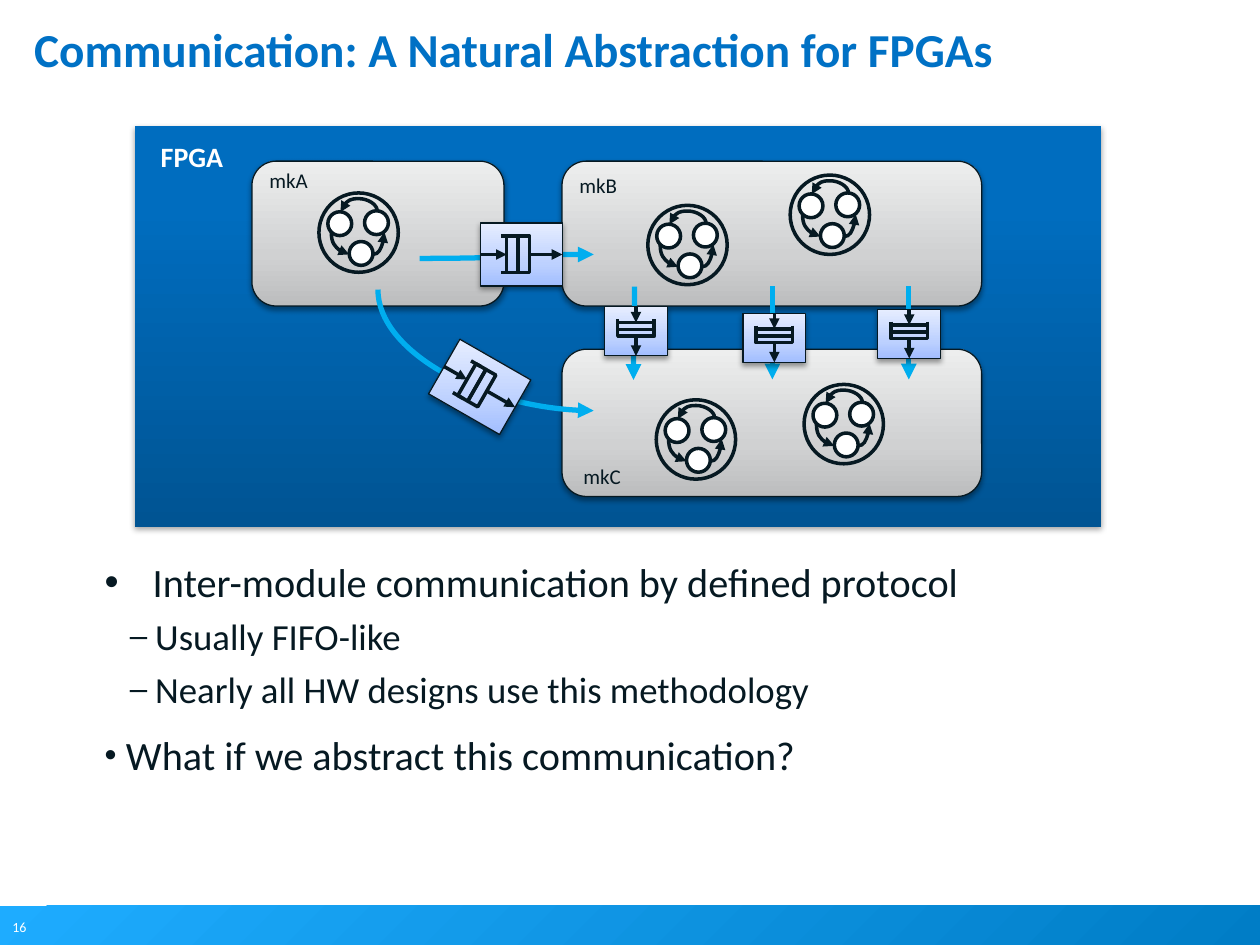
from lxml import etree
from pptx import Presentation
from pptx.dml.color import RGBColor
from pptx.enum import shapes as kinds, text as layout
from pptx.oxml.ns import qn
from pptx.util import Cm, Pt

FONT = "Calibri"
INK = RGBColor(0x06, 0x19, 0x22)
WHITE = RGBColor(0xFF, 0xFF, 0xFF)
TITLE_BLUE = RGBColor(0x00, 0x71, 0xC5)
LINK_BLUE = RGBColor(0x00, 0xAE, 0xEF)
FOOTER_STOPS = [(0, RGBColor(0x1E, 0xAC, 0xFF)), (100, RGBColor(0x00, 0x7D, 0xC6))]
FPGA_STOPS = [(0, RGBColor(0x00, 0x54, 0x93)), (80, RGBColor(0x00, 0x6D, 0xBF)),
              (100, RGBColor(0x00, 0x6E, 0xC0))]
MODULE_STOPS = [(0, RGBColor(0xBC, 0xBD, 0xBE)), (35, RGBColor(0xD0, 0xD1, 0xD2)),
                (100, RGBColor(0xED, 0xEE, 0xEE))]
FIFO_STOPS = [(0, RGBColor(0xA2, 0xBE, 0xFF)), (35, RGBColor(0xBD, 0xD1, 0xFF)),
              (100, RGBColor(0xE6, 0xED, 0xFF))]
RECTANGLE = kinds.MSO_SHAPE.RECTANGLE
OVAL = kinds.MSO_SHAPE.OVAL


def add_child(parent, tag, **attributes):
    child = etree.SubElement(parent, qn(tag))
    for name, value in attributes.items():
        child.set(name, str(value))
    return child


def set_gradient(shape, stops, angle):
    shape.fill.gradient()
    shape.fill.gradient_angle = angle
    stop_list = shape._element.spPr.find(qn("a:gradFill")).find(qn("a:gsLst"))
    for stop in list(stop_list):
        stop_list.remove(stop)
    for position, color in stops:
        stop = add_child(stop_list, "a:gs", pos=position * 1000)
        add_child(stop, "a:srgbClr", val=color)


def add_shadow(shape, opacity):
    effects = shape._element.spPr.find(qn("a:effectLst"))
    shadow = add_child(effects, "a:outerShdw", blurRad=Pt(3.1), dist=Pt(1.7),
                       dir=90 * 60000, rotWithShape=0)
    color = add_child(shadow, "a:srgbClr", val="000000")
    add_child(color, "a:alpha", val=opacity * 1000)


def add_box(parent, kind, left, top, width, height, fill=None, stops=None, angle=90,
            line=None, shadow=None):
    """Add a preset shape; lengths in cm, line width in points, shadow opacity in percent."""
    shape = parent.add_shape(kind, Cm(left), Cm(top), Cm(width), Cm(height))
    shape.shadow.inherit = False
    if stops:
        set_gradient(shape, stops, angle)
    elif fill is not None:
        shape.fill.solid()
        shape.fill.fore_color.rgb = fill
    else:
        shape.fill.background()
    if line:
        shape.line.color.rgb = INK
        shape.line.width = Pt(line)
    else:
        shape.line.fill.background()
    if shadow:
        add_shadow(shape, shadow)
    return shape


def add_link(parent, begin, end, color=INK, width=2, preset="line", arrow=None,
             rotation=0, bend=None):
    """Add a connector; arrow is "headEnd" (at begin) or "tailEnd" (at end)."""
    kind = kinds.MSO_CONNECTOR.STRAIGHT if preset == "line" else kinds.MSO_CONNECTOR.CURVE
    link = parent.add_connector(kind, *(Cm(value) for value in (*begin, *end)))
    link.line.color.rgb = color
    link.line.width = Pt(width)
    properties = link._element.spPr
    if arrow:
        add_child(properties.find(qn("a:ln")), f"a:{arrow}", type="triangle")
    add_child(properties, "a:effectLst")
    geometry = properties.find(qn("a:prstGeom"))
    geometry.set("prst", preset)
    if bend is not None:
        add_child(geometry.find(qn("a:avLst")), "a:gd", name="adj1",
                  fmla=f"val {round(bend * 100000)}")
    if rotation:
        properties.find(qn("a:xfrm")).set("rot", str(rotation * 60000))
    return link


def format_run(paragraph, words, size, color=INK, bold=False):
    run = paragraph.add_run()
    run.text = words
    run.font.name, run.font.size, run.font.bold = FONT, Pt(size), bold
    run.font.color.rgb = color


def add_text(slide, words, left, top, width, height, size=12, color=INK, bold=False,
             align=layout.PP_ALIGN.LEFT):
    frame = slide.shapes.add_textbox(Cm(left), Cm(top), Cm(width), Cm(height)).text_frame
    frame.word_wrap = False
    frame.paragraphs[0].alignment = align
    format_run(frame.paragraphs[0], words, size, color, bold)


def clear_margins(frame):
    frame.margin_left = frame.margin_top = frame.margin_right = frame.margin_bottom = 0
    frame.vertical_anchor = layout.MSO_ANCHOR.TOP
    frame.word_wrap = True


def add_title(slide, words, left, top, width, height):
    title = slide.shapes.title
    title.left, title.top, title.width, title.height = map(Cm, (left, top, width, height))
    clear_margins(title.text_frame)
    title.text_frame.auto_size = layout.MSO_AUTO_SIZE.NONE
    paragraph = title.text_frame.paragraphs[0]
    paragraph.alignment = layout.PP_ALIGN.LEFT
    paragraph.line_spacing = Pt(26)
    format_run(paragraph, words, 27, TITLE_BLUE, bold=True)


def add_bullets(slide, left, top, width, height):
    frame = slide.shapes.add_textbox(Cm(left), Cm(top), Cm(width), Cm(height)).text_frame
    clear_margins(frame)
    items = [("Inter-module communication by defined protocol", "•", 0.97, 0.97, 0, 23, 100),
             ("Usually FIFO-like", "–", 1.02, 0.51, 5, 21, 85),
             ("Nearly all HW designs use this methodology", "–", 1.02, 0.51, 5, 21, 85),
             ("What if we abstract this communication?", "•", 0.43, 0.51, 11, 23, 85)]
    for index, (words, mark, margin, hanging, space, size, mark_size) in enumerate(items):
        paragraph = frame.add_paragraph() if index else frame.paragraphs[0]
        paragraph.level = int(mark == "–")
        paragraph.space_before = Pt(space)
        format_run(paragraph, words, size)
        properties = paragraph._p.get_or_add_pPr()
        properties.set("marL", str(Cm(margin)))
        properties.set("indent", str(-Cm(hanging)))
        add_child(add_child(properties, "a:buClr"), "a:srgbClr", val=INK)
        add_child(properties, "a:buSzPct", val=mark_size * 1000)
        add_child(properties, "a:buFont", typeface="Arial")
        add_child(properties, "a:buChar", char=mark)


def add_state_machine(slide, left, top):
    """Draw a ring holding three states joined by curved arrows."""
    group = slide.shapes.add_group_shape().shapes
    add_box(group, OVAL, left, top, 1.6, 1.6, line=2)
    for x, y in [(0.61, 0.98), (0.18, 0.38), (0.92, 0.36)]:
        add_box(group, OVAL, left + x, top + y, 0.48, 0.48, fill=WHITE, line=2)
    for x, end_x, arrow in [(1.09, 1.32, "tailEnd"), (0.61, 0.25, "headEnd")]:
        add_link(group, (left + x, top + 1.24), (left + end_x, top + 0.79),
                 preset="curvedConnector2", arrow=arrow)
    add_link(group, (left + 0.82, top + 0.74), (left + 0.79, top), arrow="tailEnd",
             preset="curvedConnector3", rotation=270, bend=-8)


def add_fifo(slide, center_x, center_y, width, rotation):
    """Draw a left-to-right queue about its centre, then turn it."""
    height = 1.27
    left, top = center_x - width / 2, center_y - height / 2
    slot_top, slot_bottom = top + 0.21 * height, top + 0.79 * height
    group = slide.shapes.add_group_shape()
    parts = group.shapes
    frame = add_box(parts, RECTANGLE, left, top, width, height, stops=FIFO_STOPS,
                    line=0.75, shadow=38)
    first, last = [add_box(parts, RECTANGLE, left + share * width, slot_top, 0.14 * width,
                           slot_bottom - slot_top, line=2) for share in (0.32, 0.46)]
    for source, source_side, target, target_side in [(frame, 1, first, 1), (last, 3, frame, 3)]:
        arrow = add_link(parts, (left, center_y), (left + width, center_y), arrow="tailEnd")
        arrow.begin_connect(source, source_side)
        arrow.end_connect(target, target_side)
    for y in (slot_top, slot_bottom):
        add_link(parts, (left + 0.25 * width, y), (left + 0.39 * width, y))
    group.rotation = rotation


def add_module(slide, name, left, top, width, height, label, machines):
    add_box(slide.shapes, kinds.MSO_SHAPE.ROUNDED_RECTANGLE, left, top, width, height,
            stops=MODULE_STOPS, line=0.75, shadow=38)
    add_text(slide, name, left + label[0], top + label[1], 1.3, 0.76)
    for x, y in machines:
        add_state_machine(slide, left + x, top + y)


def add_fpga(slide, left, top, width, height):
    def at(x, y):
        return left + x, top + y

    add_box(slide.shapes, RECTANGLE, left, top, width, height, stops=FPGA_STOPS, shadow=35)
    add_text(slide, "FPGA", *at(0.25, 0.15), 1.8, 0.94, size=16, color=WHITE, bold=True,
             align=layout.PP_ALIGN.CENTER)
    add_module(slide, "mkA", *at(2.36, 0.71), 5.08, 2.92, (0.1, 0), [(1.35, 0.64)])
    add_module(slide, "mkB", *at(8.61, 0.71), 8.46, 2.92, (0.1, 0.1),
               [(1.73, 0.89), (4.6, 0.28)])
    add_module(slide, "mkC", *at(8.61, 4.5), 8.46, 2.97, (0.18, 2.18),
               [(1.9, 1.02), (4.88, 0.71)])

    blue = {"color": LINK_BLUE, "width": 3}
    add_link(slide.shapes, at(9.25, 2.59), at(5.74, 2.67), preset="curvedConnector3",
             arrow="headEnd", **blue)
    add_link(slide.shapes, at(9.25, 5.74), at(4.9, 3.3), preset="curvedConnector2",
             arrow="headEnd", **blue)
    add_link(slide.shapes, at(9.12, 4.17), at(11, 4.19), preset="curvedConnector3",
             arrow="tailEnd", rotation=90, bend=0.46, **blue)
    for x in (12.85, 15.6):
        add_link(slide.shapes, at(x, 3.23), at(x, 5.11), arrow="tailEnd", **blue)

    add_fifo(slide, *at(7.79, 2.59), 1.65, 0)
    add_fifo(slide, *at(6.95, 5.26), 1.65, 29.8)
    for x, y in [(10.1, 4.14), (12.89, 4.27), (15.61, 4.19)]:
        add_fifo(slide, *at(x, y), 0.99, 90)


def add_footer(slide, left, top, width, height):
    add_box(slide.shapes, RECTANGLE, left, top, width, height, stops=FOOTER_STOPS, angle=315)
    add_text(slide, "16", left, top + 0.13, 0.79, 0.61, size=8, color=WHITE)


def main():
    presentation = Presentation()
    presentation.slide_width, presentation.slide_height = Cm(25.4), Cm(19.05)
    slide = presentation.slides.add_slide(presentation.slide_layouts[5])
    add_footer(slide, 0, 18.26, 25.4, 0.79)
    add_title(slide, "Communication: A Natural Abstraction for FPGAs", 0.69, 0.64, 25.93, 3.18)
    add_fpga(slide, 2.72, 2.54, 19.48, 8.08)
    add_bullets(slide, 2.11, 11.23, 21.64, 7.11)
    presentation.save("out.pptx")


if __name__ == "__main__":
    main()
